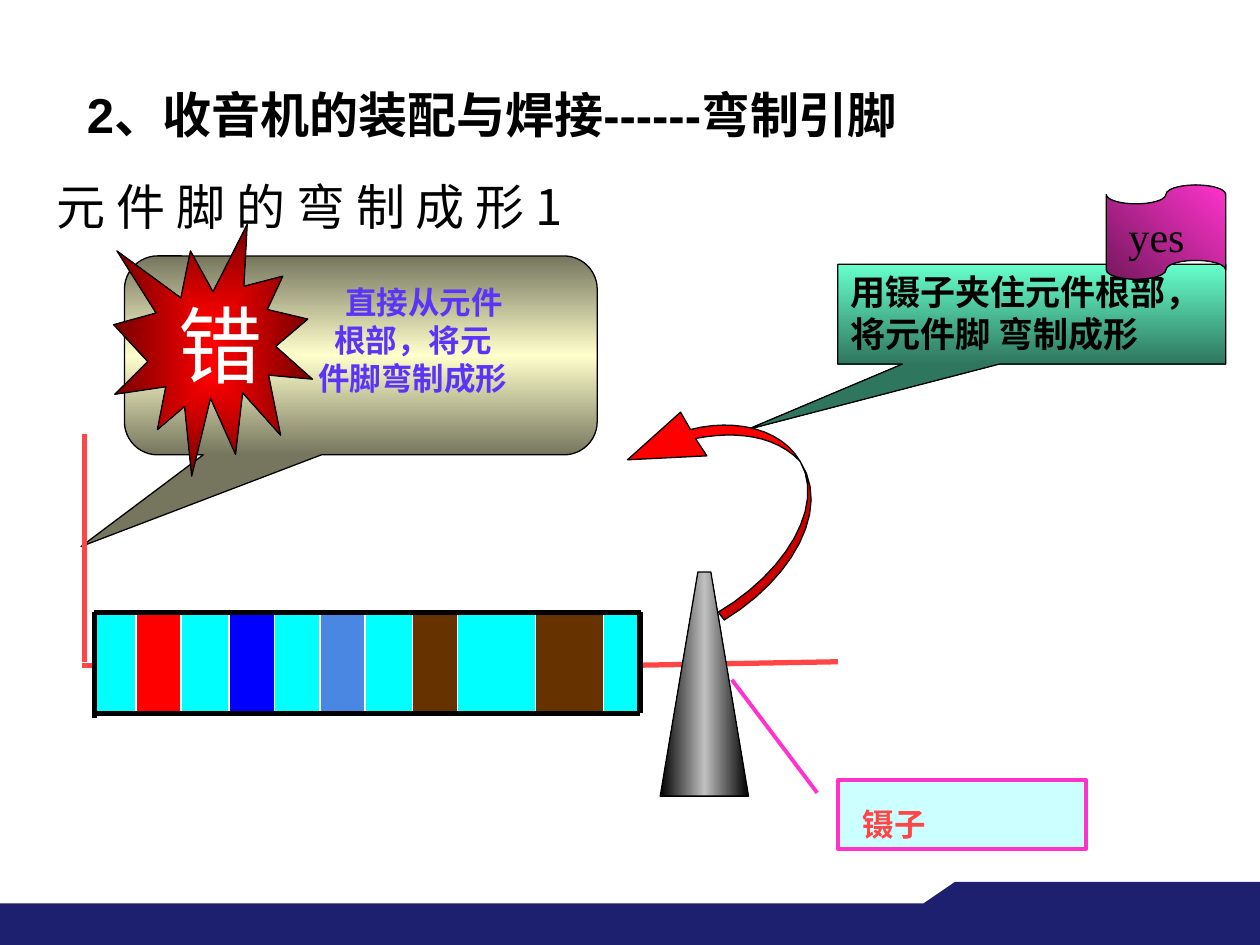
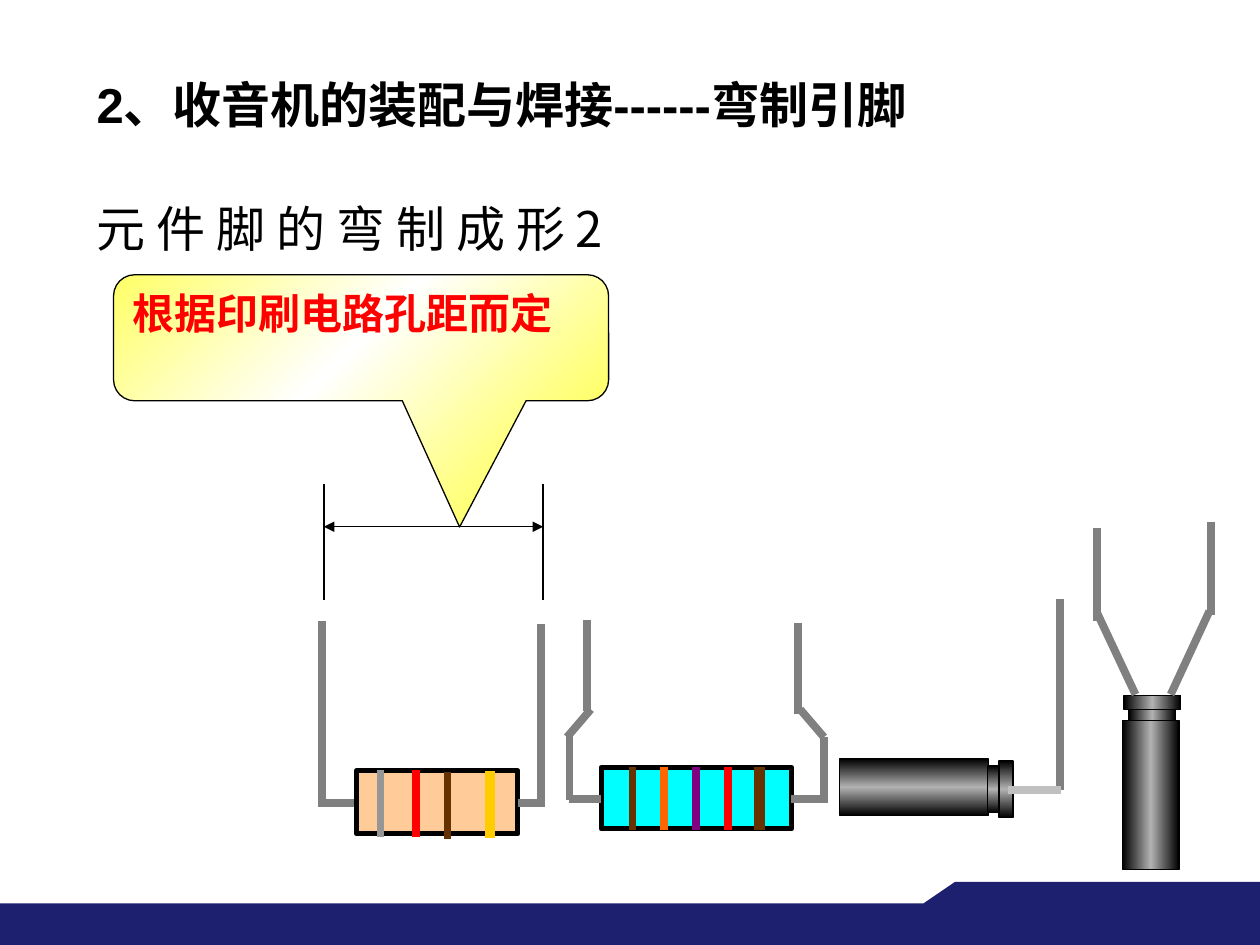
from lxml.etree import SubElement
from pptx import Presentation
from pptx.dml.color import RGBColor
from pptx.enum.shapes import MSO_CONNECTOR, MSO_SHAPE
from pptx.enum.text import MSO_ANCHOR, PP_ALIGN
from pptx.oxml.ns import qn
from pptx.util import Cm, Pt

NAVY = RGBColor(0x1D, 0x1F, 0x6F)
BLACK = RGBColor(0, 0, 0)
WHITE = RGBColor(255, 255, 255)
RED = RGBColor(255, 0, 0)
DARK_RED = RGBColor(0xCD, 0, 0)
DEEP_RED = RGBColor(0x76, 0, 0)
CORAL = RGBColor(0xFF, 0x45, 0x45)
PINK = RGBColor(0xFF, 0x33, 0xCC)
PLUM = RGBColor(0x76, 0x18, 0x5E)
PURPLE = RGBColor(0x80, 0, 0x80)
VIOLET = RGBColor(0x5A, 0x35, 0xF7)
BLUE = RGBColor(0, 0, 255)
SKY = RGBColor(0x49, 0x87, 0xE3)
CYAN = RGBColor(0, 255, 255)
ICE = RGBColor(0xCC, 0xFF, 0xFF)
MINT = RGBColor(0x66, 0xFF, 0xCC)
PINE = RGBColor(0x2F, 0x76, 0x5E)
OLIVE = RGBColor(0x76, 0x76, 0x5E)
CREAM = RGBColor(0xFF, 0xFF, 0xCC)
YELLOW = RGBColor(0xFF, 0xFF, 0x66)
GOLD = RGBColor(0xFF, 0xCC, 0)
ORANGE = RGBColor(0xFF, 0x66, 0)
TAN = RGBColor(0xFF, 0xCC, 0x99)
BROWN = RGBColor(0x66, 0x33, 0)
GREY = RGBColor(0x80, 0x80, 0x80)
MID_GREY = RGBColor(0x96, 0x96, 0x96)
STEEL = RGBColor(0xB2, 0xB2, 0xB2)
SILVER = RGBColor(0xC0, 0xC0, 0xC0)

SANS, SERIF, CJK = "Arial", "Times New Roman", "Noto Sans CJK SC"
METAL = (BLACK, STEEL, BLACK)

HEADING = "2、收音机的装配与焊接------弯制引脚"
PAGES = [
    {"title_at": (1.5, 1.57, 19.61, 1.45),
     "topic": "元 件 脚 的 弯 制 成 形 1", "topic_at": (0.89, 3.53, 19, 1.24)},
    {"title_at": (1.7, 1.37, 19, 1.45),
     "topic": "元 件 脚 的 弯 制 成 形 2", "topic_at": (1.7, 4.11, 21.59, 0.97)},
]

BAND_STEP = [(18.62, 18.21), (19.25, 17.78), (25.4, 17.78), (25.4, 18.42), (18.62, 18.42)]

WRONG_WAY = ["直接从元件", "根部，将元", "件脚弯制成形"]
RIGHT_WAY = "用镊子夹住元件根部，将元件脚 弯制成形"
COLOUR_RINGS = [(2.74, 0.91, RED), (4.62, 0.91, BLUE), (6.45, 0.91, SKY),
                (8.31, 0.91, BROWN), (10.8, 1.37, BROWN)]
STRAIGHT_LEADS = [(12.88, 13.41, 16.89, 13.34), (1.65, 13.41, 2.06, 13.41)]
UPRIGHT_LEAD = (1.7, 8.74, 1.7, 13.34)
BODY_EDGES = [(1.9, 12.34, 1.9, 14.48), (12.9, 12.34, 12.9, 14.38),
              (1.9, 12.34, 12.93, 12.34), (1.85, 14.38, 12.9, 14.38)]
TWEEZERS = [(13.31, 16.05), (14.07, 11.53), (14.33, 11.53), (15.09, 16.05)]
ARROW_TIP = [(14.25, 9.19), (12.65, 9.27), (13.72, 8.31)]
HEAD_CURVES = [((13.92, 8.66), (14.81, 8.43), (15.75, 8.64), (16.13, 9.3)),
               ((16.13, 9.3), (15.62, 8.76), (14.81, 8.69), (14.02, 8.84))]
STEM_CURVES = [((14.6, 12.5), (15.98, 11.66), (16.76, 10.26), (16.13, 9.3)),
               ((16.13, 9.3), (16.64, 10.19), (15.85, 11.53), (14.48, 12.34))]

HOLE_EDGES = [6.53, 10.95]
TAN_RINGS = [(7.67, 15.52, MID_GREY, 4.5), (8.38, 15.52, RED, 4.5),
             (9.02, 15.57, BROWN, 4.5), (9.88, 15.54, GOLD, 6)]
TAN_LEADS = [(6.5, 16.18, 7.14, 16.18), (10.44, 16.18, 10.95, 16.18),
             (6.5, 12.52, 6.5, 16.26), (10.9, 12.57, 10.9, 16.26)]
CYAN_RINGS = [(BROWN, 4.5), (ORANGE, 4.5), (PURPLE, 4.5), (RED, 4.5), (BROWN, 6)]
CYAN_LEADS = [(12.12, 16.1, 11.48, 16.1), (16.61, 16.1, 15.95, 16.1),
              (16.61, 14.86, 16.61, 16.18), (11.91, 14.3, 11.43, 14.86),
              (16.13, 14.3, 16.61, 14.86), (11.48, 14.78, 11.48, 16.13),
              (16.08, 14.4, 16.08, 12.55), (11.84, 14.33, 11.84, 12.5)]
STANDING_CAPACITOR = [(22.63, 14.53, 1.14, 3), (22.76, 14.3, 0.94, 0.23),
                      (22.66, 14.02, 1.14, 0.28)]
STANDING_LEADS = [(23.6, 14, 24.38, 12.32), (24.41, 12.4, 24.41, 10.52),
                  (22.12, 12.52, 22.12, 10.64), (22.89, 14, 22.1, 12.32)]
LYING_CAPACITOR = [(16.93, 15.3, 3, 1.14), (19.91, 15.44, 0.23, 0.94),
                   (20.14, 15.34, 0.28, 1.14)]


def lengths(values):
    return [Cm(value) for value in values]


def paint(shape, fill, line=BLACK, width=0.75, angle=None):
    shape.shadow.inherit = False
    if line is None:
        shape.line.fill.background()
    else:
        shape.line.color.rgb = line
        shape.line.width = Pt(width)
    if isinstance(fill, RGBColor):
        shape.fill.solid()
        shape.fill.fore_color.rgb = fill
        return shape
    shape.fill.gradient()
    gradient = shape.element.spPr.find(qn("a:gradFill"))
    for child in list(gradient):
        gradient.remove(child)
    stops = SubElement(gradient, qn("a:gsLst"))
    for index, colour in enumerate(fill):
        stop = SubElement(stops, qn("a:gs"), pos=str(index * 100000 // (len(fill) - 1)))
        SubElement(stop, qn("a:srgbClr"), val=str(colour))
    if angle is None:
        centre = SubElement(gradient, qn("a:path"), path="rect")
        SubElement(centre, qn("a:fillToRect"), dict.fromkeys("ltrb", "50000"))
    else:
        SubElement(gradient, qn("a:lin"), ang=str(angle * 60000), scaled="0")
    return shape


def add_figure(slide, kind, at, fill, adjust=(), **look):
    figure = slide.shapes.add_shape(kind, *lengths(at))
    for index, value in enumerate(adjust):
        figure.adjustments[index] = value
    return paint(figure, fill, **look)


def add_outline(slide, points, fill, **look):
    corners = [tuple(lengths(point)) for point in points]
    builder = slide.shapes.build_freeform(*corners[0])
    builder.add_line_segments(corners[1:], close=True)
    return paint(builder.convert_to_shape(), fill, **look)


def trace(curves, steps=12):
    points = []
    for a, b, c, d in curves:
        for step in range(steps + 1):
            t = step / steps
            weights = ((1 - t) ** 3, 3 * t * (1 - t) ** 2, 3 * t * t * (1 - t), t ** 3)
            points.append(tuple(sum(w * p[axis] for w, p in zip(weights, (a, b, c, d)))
                                for axis in (0, 1)))
    return points


def add_line(slide, ends, colour, width, arrows=False):
    line = slide.shapes.add_connector(MSO_CONNECTOR.STRAIGHT, *lengths(ends))
    line.line.color.rgb = colour
    line.line.width = Pt(width)
    SubElement(line.element.spPr, qn("a:effectLst"))
    if arrows:
        for end in ("a:headEnd", "a:tailEnd"):
            SubElement(line.line._get_or_add_ln(), qn(end), type="triangle")


def write(holder, text, size=28, font=SERIF, colour=BLACK, bold=False, anchor=MSO_ANCHOR.TOP,
          align=PP_ALIGN.LEFT, left=0.25, top=0.13, first_indent=0):
    frame = holder.text_frame
    frame.word_wrap = True
    frame.vertical_anchor = anchor
    frame.margin_left, frame.margin_top = Cm(left), Cm(top)
    frame.margin_right, frame.margin_bottom = Cm(0.25), Cm(0.13)
    frame.text = text
    for paragraph in frame.paragraphs:
        paragraph.alignment = align
        paragraph.line_spacing = Pt(round(size * 1.2, 1))
        paragraph.space_before = Pt(0)
        paragraph.font.size = Pt(size)
        paragraph.font.name = font
        paragraph.font.bold = bold
        paragraph.font.color.rgb = colour
    if first_indent:
        frame.paragraphs[0]._p.get_or_add_pPr().set("marL", str(Cm(first_indent)))


def add_words(slide, at, text, **style):
    write(slide.shapes.add_textbox(*lengths(at)), text, **style)


def start_page(deck, page):
    slide = deck.slides.add_slide(deck.slide_layouts[5])
    title = slide.shapes.title
    title.left, title.top, title.width, title.height = lengths(page["title_at"])
    write(title, HEADING, font=SANS, bold=True)
    add_words(slide, page["topic_at"], page["topic"], font=CJK, anchor=MSO_ANCHOR.MIDDLE)
    return slide


def share_footer(slide):
    footer = [add_figure(slide, MSO_SHAPE.RECTANGLE, (0, 18.21, 25.4, 0.84), NAVY, line=None),
              add_outline(slide, BAND_STEP, NAVY, line=None)]
    for part in footer:
        slide.slide_layout.shapes.element.append(part.element)


def draw_bending(slide):
    wrong = add_figure(slide, MSO_SHAPE.ROUNDED_RECTANGULAR_CALLOUT, (2.51, 5.16, 9.53, 4.01),
                       (OLIVE, CREAM, OLIVE), adjust=(-0.592, 0.961, 0.167), angle=90)
    write(wrong, "\n".join(WRONG_WAY), size=18, colour=VIOLET, bold=True,
          align=PP_ALIGN.CENTER, left=2.35, top=0.35, first_indent=0.45)
    add_figure(slide, MSO_SHAPE.EXPLOSION1, (2.29, 4.52, 4.01, 5.08), (RED, DEEP_RED))
    add_words(slide, (3.35, 5.79, 2.11, 2.29), "错", size=48, colour=WHITE)

    right = add_figure(slide, MSO_SHAPE.RECTANGULAR_CALLOUT, (16.89, 5.33, 7.82, 2.01),
                       (MINT, PINE), adjust=(-0.735, 1.159), angle=90)
    write(right, RIGHT_WAY, size=20, font=CJK, bold=True)
    add_figure(slide, MSO_SHAPE.FLOWCHART_PUNCHED_TAPE, (22.3, 3.73, 2.41, 1.9),
               (PLUM, PINK), angle=315)
    add_words(slide, (22.5, 4.11, 2.39, 1.27), "yes", size=24)

    label = add_figure(slide, MSO_SHAPE.LINE_CALLOUT_1, (16.89, 15.72, 5, 1.4), ICE,
                       adjust=(0.188, -0.083, -1.44, -0.427), line=PINK, width=2.25)
    write(label, "镊子", size=18, colour=CORAL, bold=True, left=0.5, top=0.5)

    add_outline(slide, ARROW_TIP + trace(HEAD_CURVES), RED)
    add_outline(slide, trace(STEM_CURVES), DARK_RED)
    for lead in STRAIGHT_LEADS:
        add_line(slide, lead, CORAL, 3)
    add_figure(slide, MSO_SHAPE.RECTANGLE, (1.9, 12.32, 11, 2.11), CYAN, line=WHITE)
    for x, width, colour in COLOUR_RINGS:
        add_figure(slide, MSO_SHAPE.RECTANGLE, (x, 12.34, width, 2.01), colour, line=WHITE)
    for edge in BODY_EDGES:
        add_line(slide, edge, BLACK, 3)
    add_line(slide, UPRIGHT_LEAD, CORAL, 3)
    add_outline(slide, TWEEZERS, (BLACK, SILVER, BLACK), angle=0)


def draw_components(slide):
    add_figure(slide, MSO_SHAPE.RECTANGLE, (7.19, 15.54, 3.25, 1.27), TAN, width=3)
    for x, top, colour, width in TAN_RINGS:
        add_line(slide, (x, top, x, top + 1.35), colour, width)
    add_figure(slide, MSO_SHAPE.RECTANGLE, (12.12, 15.47, 3.84, 1.24), CYAN, width=3)
    for index, (colour, width) in enumerate(CYAN_RINGS):
        x = 12.75 + 0.64 * index
        add_line(slide, (x, 15.47, x, 16.74), colour, width)
    for angle, capacitor in ((0, STANDING_CAPACITOR), (90, LYING_CAPACITOR)):
        for part in capacitor:
            add_figure(slide, MSO_SHAPE.RECTANGLE, part, METAL, angle=angle)
    for lead in TAN_LEADS + CYAN_LEADS + STANDING_LEADS + [(21.36, 15.93, 21.36, 12.07)]:
        add_line(slide, lead, GREY, 4.5)
    add_line(slide, (20.32, 15.93, 21.39, 15.93), SILVER, 4.5)

    for x in HOLE_EDGES:
        add_line(slide, (x, 9.75, x, 12.09), BLACK, 0.75)
    add_line(slide, (HOLE_EDGES[0], 10.62, HOLE_EDGES[1], 10.62), BLACK, 0.75, arrows=True)
    spacing = add_figure(slide, MSO_SHAPE.ROUNDED_RECTANGULAR_CALLOUT, (2.29, 5.54, 9.98, 2.54),
                         (YELLOW, WHITE, YELLOW), adjust=(0.199, 1.502, 0.167), angle=45)
    write(spacing, "根据印刷电路孔距而定", size=24, colour=RED, bold=True)


def main():
    deck = Presentation()
    deck.slide_width, deck.slide_height = Cm(25.4), Cm(19.05)
    bending, components = [start_page(deck, page) for page in PAGES]
    share_footer(bending)
    draw_bending(bending)
    draw_components(components)
    deck.save("out.pptx")


if __name__ == "__main__":
    main()
